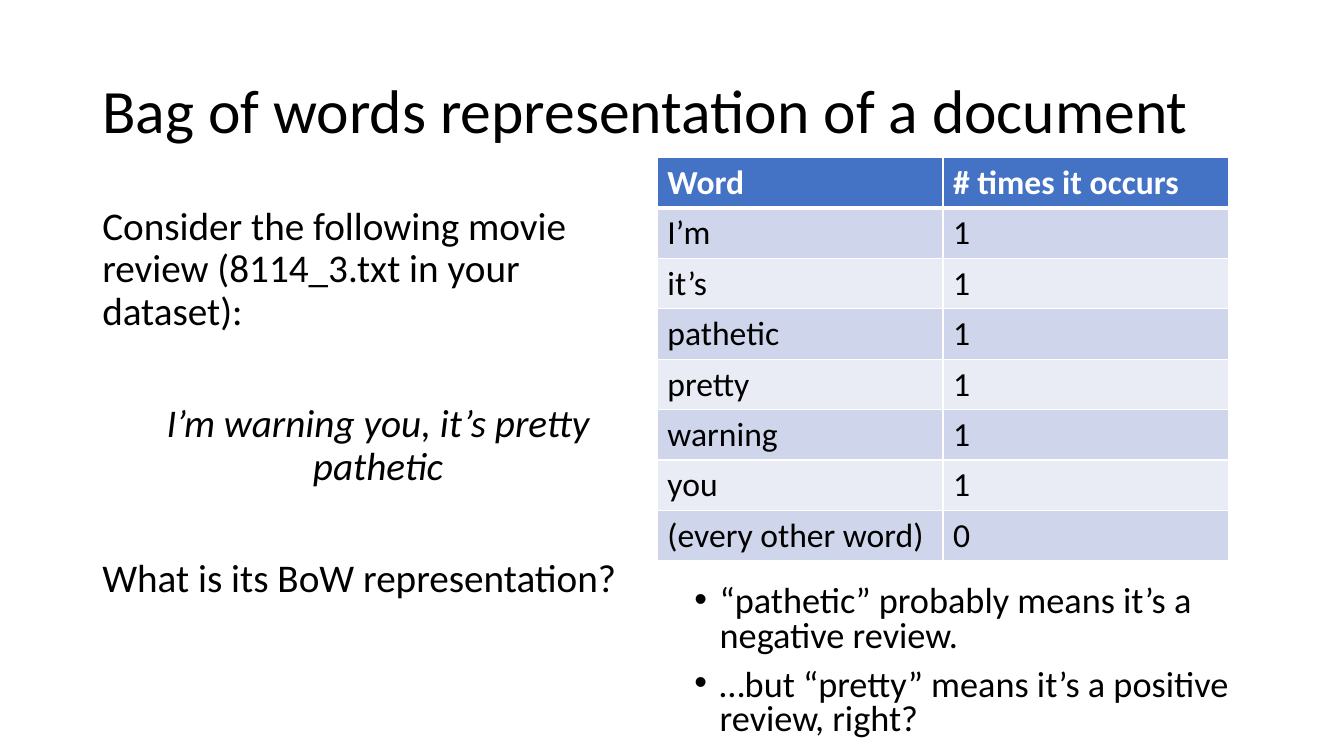
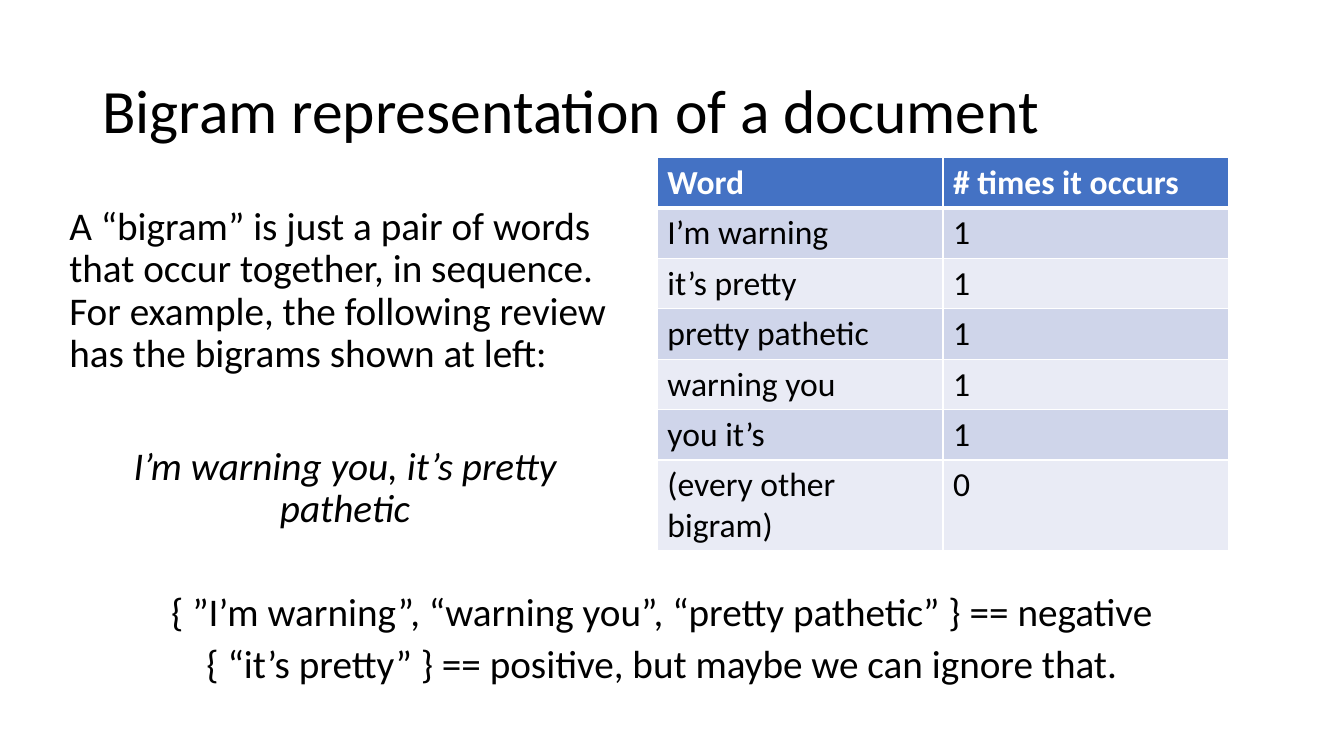
from dataclasses import dataclass

import lxml.etree
import pptx
import pptx.dml.color
import pptx.enum.text
import pptx.oxml.ns
import pptx.slide
import pptx.table
import pptx.text.text
import pptx.util

Pt = pptx.util.Pt
Align = pptx.enum.text.PP_ALIGN
Anchor = pptx.enum.text.MSO_ANCHOR

# Shared style
COLORS = {
    "text": "000000",
    "white": "FFFFFF",
    "header": "4472C4",
    "odd": "CFD5EA",
    "even": "E9EBF5",
}
FONT = "Calibri"
TITLE_SIZE, BODY_SIZE, TABLE_SIZE, BULLET_SIZE = 44, 28, 24, 25.9
GAP, WIDE_GAP = 10, 50.2
BULLET_INDENT = 18
COLUMN_WIDTH, ROW_HEIGHT = 204, 36
REVIEW = "I’m warning you, it’s pretty pathetic"


@dataclass
class Area:
    left: float
    top: float
    width: float
    height: float


@dataclass
class Line:
    text: str
    size: float = BODY_SIZE
    before: float = GAP
    spacing: float = 0.9
    align: Align = Align.LEFT
    italic: bool = False
    bullet: bool = False


@dataclass
class Content:
    title: str
    body_area: Area
    body: list[Line]
    counts: list[tuple[str, str]]
    remark_area: Area
    remarks: list[Line]


TITLE_AREA = Area(66, 29, 828, 104)
TABLE_LEFT, TABLE_TOP = 469.6, 112.4


def rgb(name: str) -> pptx.dml.color.RGBColor:
    return pptx.dml.color.RGBColor.from_string(COLORS[name])


def add_span(para: pptx.text.text._Paragraph, text: str, size: float,
             color: str = "text", bold: bool = False, italic: bool = False) -> None:
    span = para.add_run()
    span.text = text
    span.font.name = FONT
    span.font.size = Pt(size)
    span.font.bold = bold
    span.font.italic = italic
    span.font.color.rgb = rgb(color)


def add_bullet(para: pptx.text.text._Paragraph) -> None:
    properties = para._p.get_or_add_pPr()
    properties.set("marL", str(Pt(BULLET_INDENT)))
    properties.set("indent", str(-Pt(BULLET_INDENT)))
    font = lxml.etree.SubElement(properties, pptx.oxml.ns.qn("a:buFont"))
    font.set("typeface", "Arial")
    mark = lxml.etree.SubElement(properties, pptx.oxml.ns.qn("a:buChar"))
    mark.set("char", "•")


def add_text(page: pptx.slide.Slide, area: Area, lines: list[Line],
             anchor: Anchor = Anchor.TOP) -> None:
    box = page.shapes.add_textbox(
        Pt(area.left), Pt(area.top), Pt(area.width), Pt(area.height))
    frame = box.text_frame
    frame.word_wrap = True
    frame.vertical_anchor = anchor
    for index, line in enumerate(lines):
        para = frame.add_paragraph() if index else frame.paragraphs[0]
        para.alignment = line.align
        para.line_spacing = line.spacing
        para.space_before = Pt(line.before)
        if line.bullet:
            add_bullet(para)
        add_span(para, line.text, line.size, italic=line.italic)


def add_border(cell: pptx.table._Cell, side: str, width: float) -> None:
    properties = cell._tc.get_or_add_tcPr()
    border = lxml.etree.SubElement(properties, pptx.oxml.ns.qn(f"a:ln{side}"))
    border.set("w", str(Pt(width)))
    fill = lxml.etree.SubElement(border, pptx.oxml.ns.qn("a:solidFill"))
    color = lxml.etree.SubElement(fill, pptx.oxml.ns.qn("a:srgbClr"))
    color.set("val", COLORS["white"])


def add_counts(page: pptx.slide.Slide, counts: list[tuple[str, str]]) -> None:
    rows = [("Word", "# times it occurs"), *counts]
    table = page.shapes.add_table(
        len(rows), 2, Pt(TABLE_LEFT), Pt(TABLE_TOP),
        Pt(2 * COLUMN_WIDTH), Pt(len(rows) * ROW_HEIGHT)).table
    table.horz_banding = False
    for column in table.columns:
        column.width = Pt(COLUMN_WIDTH)
    for row_index, values in enumerate(rows):
        table.rows[row_index].height = Pt(ROW_HEIGHT)
        header = row_index == 0
        fill = "header" if header else ("odd" if row_index % 2 else "even")
        # A heavier rule separates the header from the counts
        widths = {"L": 1, "R": 1, "T": 3 if row_index == 1 else 1,
                  "B": 3 if header else 1}
        for column_index, value in enumerate(values):
            cell = table.cell(row_index, column_index)
            for side, width in widths.items():
                add_border(cell, side, width)
            cell.fill.solid()
            cell.fill.fore_color.rgb = rgb(fill)
            add_span(cell.text_frame.paragraphs[0], value, TABLE_SIZE,
                     "white" if header else "text", bold=header)


def review_line() -> Line:
    return Line(REVIEW, before=WIDE_GAP, align=Align.CENTER, italic=True)


def bullet_line(text: str) -> Line:
    return Line(text, BULLET_SIZE, spacing=0.8, bullet=True)


def verdict_line(text: str) -> Line:
    return Line(text, spacing=0.8, align=Align.CENTER)


# Slide contents
CONTENTS = [
    Content(
        "Bag of words representation of a document",
        Area(66, 144, 408, 343),
        [
            Line("Consider the following movie review "
                 "(8114_3.txt in your dataset):"),
            review_line(),
            Line("What is its BoW representation?", before=WIDE_GAP),
        ],
        [("I’m", "1"), ("it’s", "1"), ("pathetic", "1"), ("pretty", "1"),
         ("warning", "1"), ("you", "1"), ("(every other word)", "0")],
        Area(489, 414.7, 396, 123),
        [
            bullet_line("“pathetic” probably means it’s a negative review."),
            bullet_line("…but “pretty” means it’s a positive review, right?"),
        ],
    ),
    Content(
        "Bigram representation of a document",
        Area(42.4, 144, 408, 343),
        [
            Line("A “bigram” is just a pair of words that occur together, "
                 "in sequence. For example, the following review has the "
                 "bigrams shown at left:"),
            review_line(),
        ],
        [("I’m warning", "1"), ("it’s pretty", "1"), ("pretty pathetic", "1"),
         ("warning you", "1"), ("you it’s", "1"), ("(every other bigram)", "0")],
        Area(73.4, 422.6, 798.5, 77),
        [
            verdict_line("{ ”I’m warning”, “warning you”, "
                         "“pretty pathetic” } == negative"),
            verdict_line("{ “it’s pretty” } == positive, "
                         "but maybe we can ignore that."),
        ],
    ),
]


def main() -> None:
    deck = pptx.Presentation()
    deck.slide_width, deck.slide_height = Pt(960), Pt(540)
    for content in CONTENTS:
        page = deck.slides.add_slide(deck.slide_layouts[6])
        title = Line(content.title, TITLE_SIZE, before=0)
        add_text(page, TITLE_AREA, [title], Anchor.MIDDLE)
        add_text(page, content.body_area, content.body)
        add_counts(page, content.counts)
        add_text(page, content.remark_area, content.remarks)
    deck.save("out.pptx")


if __name__ == "__main__":
    main()
